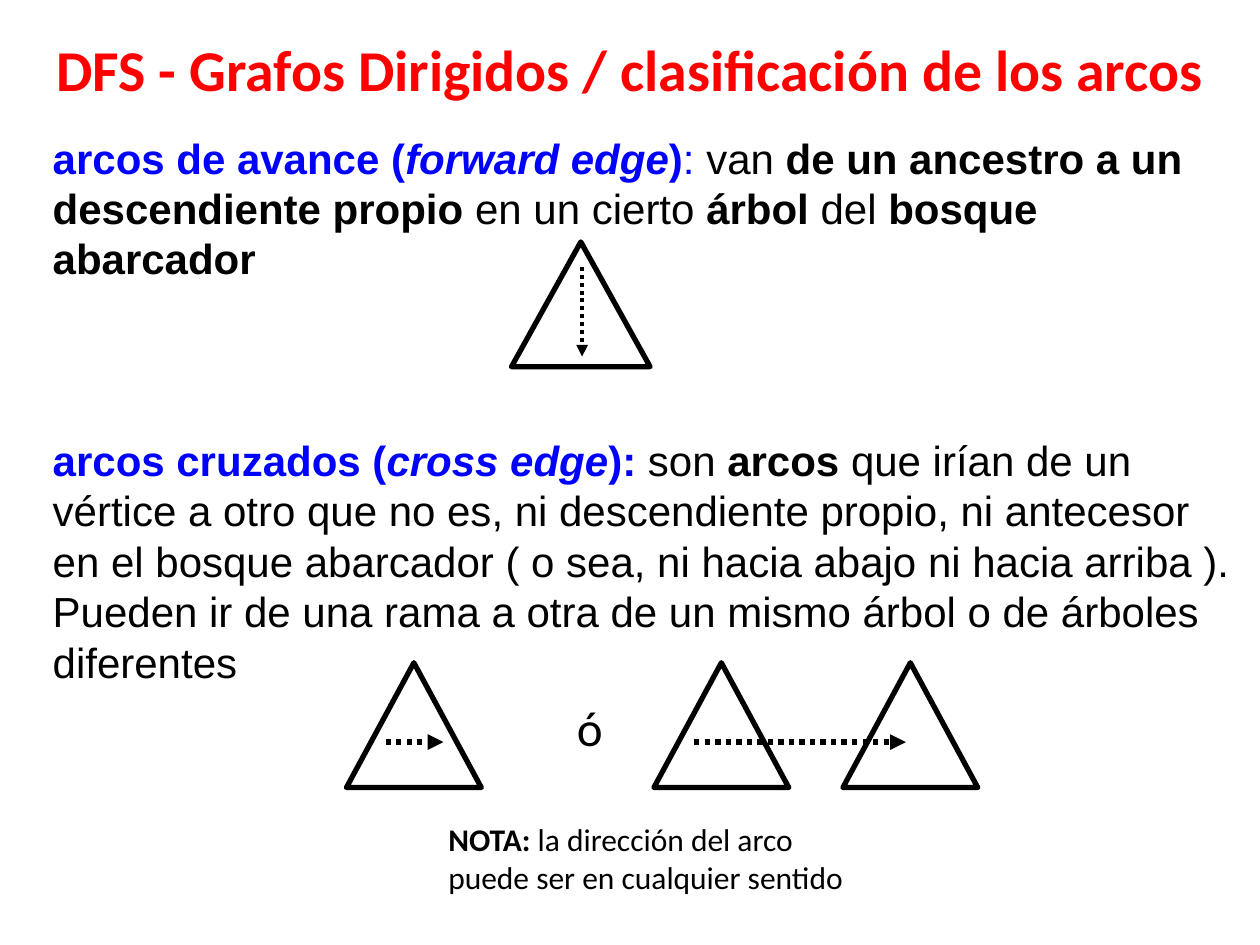
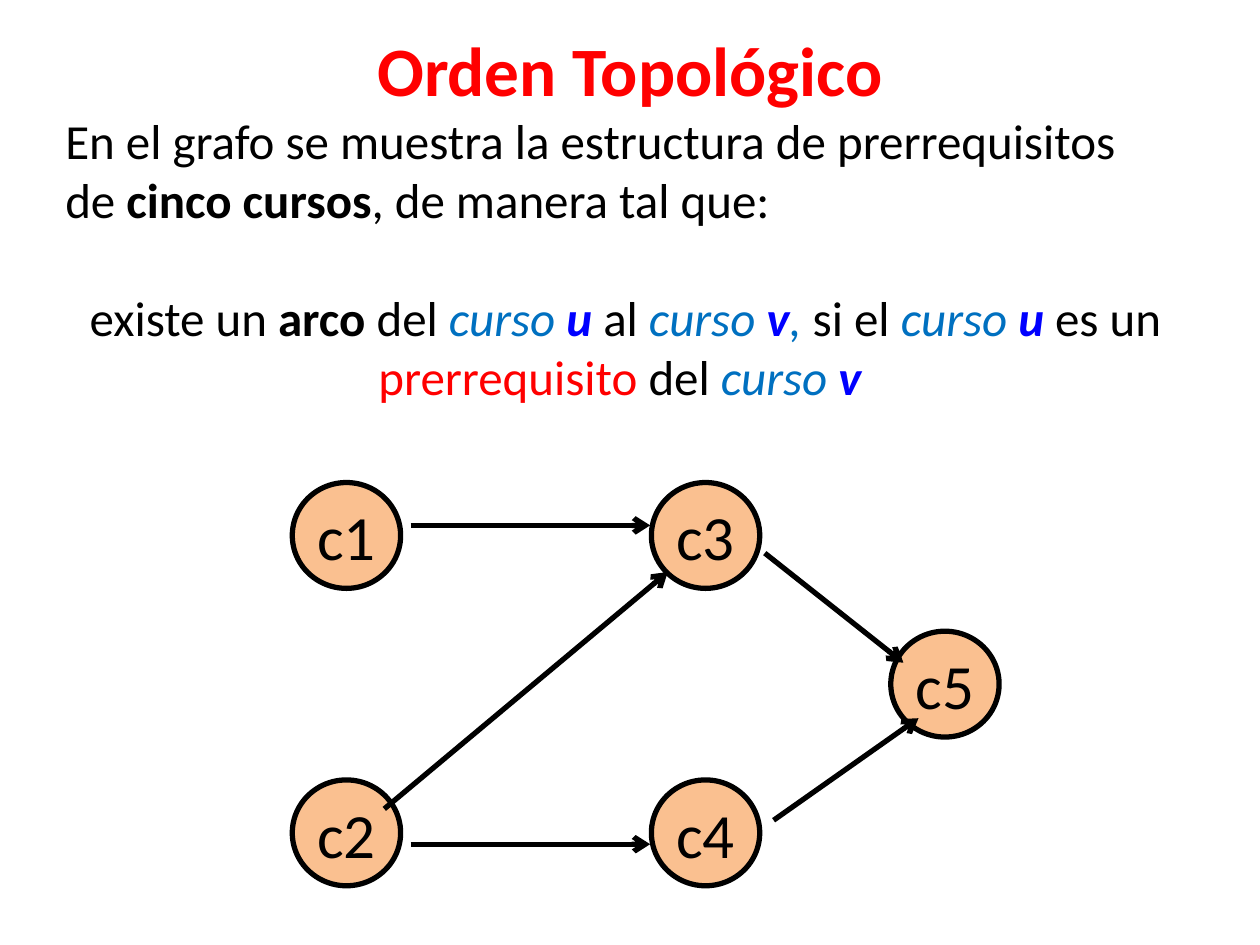
import pptx
import pptx.util
import pptx.dml.color
import pptx.enum.dml
import pptx.enum.shapes
import pptx.enum.text
import pptx.oxml
import pptx.oxml.ns
from dataclasses import dataclass

SCALE = 9144  # EMU in one px, 100 px to the inch
Shape = pptx.enum.shapes.MSO_SHAPE
Align = pptx.enum.text.PP_ALIGN
Anchor = pptx.enum.text.MSO_ANCHOR


@dataclass(frozen=True)
class Theme:
    black: str = "000000"
    red: str = "FF0000"
    blue: str = "0000FF"
    sky: str = "0070C0"
    peach: str = "FAC090"
    plain: str = "Calibri"
    sans: str = "Arial"
    note: int = 18
    body: int = 24
    large: int = 28
    node: int = 36
    thin: float = 2.25
    thick: float = 3


theme = Theme()


def px(*nums):
    return [pptx.util.Emu(num * SCALE) for num in nums]


def rgb(code):
    return pptx.dml.color.RGBColor.from_string(code)


class Deck:
    """Holds the theme and the current slide."""

    def __init__(self, theme):
        self.theme = theme
        self.file = pptx.Presentation()
        self.file.slide_width, self.file.slide_height = px(1000, 750)
        self.slide = None

    def page(self, title, size):
        self.slide = self.file.slides.add_slide(self.file.slide_layouts[5])
        box = self.slide.shapes.title
        box.left, box.top, box.width, box.height = px(25, 17, 950, 75)
        box.text_frame.auto_size = pptx.enum.text.MSO_AUTO_SIZE.NONE
        box.text_frame.vertical_anchor = Anchor.MIDDLE
        para = box.text_frame.paragraphs[0]
        para.alignment = Align.CENTER
        self.run(para, title, size, color=self.theme.red, bold=True)

    def run(self, para, text, size, font=None, color=None, bold=False, slant=False):
        run = para.add_run()
        run.text = text
        run.font.name = font or self.theme.plain
        run.font.size = pptx.util.Pt(size)
        run.font.bold, run.font.italic = bold, slant
        run.font.color.rgb = rgb(color or self.theme.black)

    def text(self, area, paras, size, font=None, gap=0, pitch=None, aligns=()):
        """Each run is (words, marks, colour); marks hold b for bold, i for italic."""
        frame = self.slide.shapes.add_textbox(*px(*area)).text_frame
        frame.word_wrap = True
        for num, runs in enumerate(paras):
            para = frame.add_paragraph() if num else frame.paragraphs[0]
            if num:
                para.space_before = pptx.util.Pt(gap)
            if pitch:
                para.line_spacing = pptx.util.Pt(pitch)
            if aligns:
                para.alignment = aligns[num]
            for words, marks, color in runs:
                self.run(para, words, size, font, color, "b" in marks, "i" in marks)

    def shape(self, kind, area, fill=None):
        shape = self.slide.shapes.add_shape(kind, *px(*area))
        shape.shadow.inherit = False
        if fill:
            shape.fill.solid()
            shape.fill.fore_color.rgb = rgb(fill)
        else:
            shape.fill.background()
        shape.line.color.rgb = rgb(self.theme.black)
        shape.line.width = pptx.util.Pt(self.theme.thick)
        return shape

    def tree(self, left, top, width):
        self.shape(Shape.ISOSCELES_TRIANGLE, (left, top, width, 99))

    def node(self, label, left, top):
        frame = self.shape(Shape.OVAL, (left, top, 86, 84), self.theme.peach).text_frame
        frame.word_wrap = False
        frame.vertical_anchor = Anchor.MIDDLE
        frame.paragraphs[0].alignment = Align.CENTER
        self.run(frame.paragraphs[0], label, self.theme.node)

    def arrow(self, start, end, head="arrow", width=None, dots=False):
        kind = pptx.enum.shapes.MSO_CONNECTOR.STRAIGHT
        link = self.slide.shapes.add_connector(kind, *px(*start, *end))
        link.line.color.rgb = rgb(self.theme.black)
        link.line.width = pptx.util.Pt(width or self.theme.thick)
        if dots:
            link.line.dash_style = pptx.enum.dml.MSO_LINE.ROUND_DOT
        tail = pptx.oxml.parse_xml(
            f'<a:tailEnd {pptx.oxml.ns.nsdecls("a")} type="{head}"/>')
        link.line._get_or_add_ln().append(tail)
        link._element.spPr.append(
            pptx.oxml.parse_xml(f'<a:effectLst {pptx.oxml.ns.nsdecls("a")}/>'))


def arcs(deck):
    deck.page("DFS - Grafos Dirigidos / clasificación de los arcos", 33)

    # Definitions
    blue = theme.blue
    ahead = [
        ("arcos de avance (", "b", blue), ("forward edge", "bi", blue),
        (")", "b", blue), (": ", "", blue), ("van ", "", None),
        ("de un ancestro a un descendiente propio ", "b", None),
        ("en un cierto ", "", None), ("árbol", "b", None),
        (" del ", "", None), ("bosque abarcador", "b", None)]
    cross = [
        ("arcos cruzados (", "b", blue), ("cross edge", "bi", blue),
        ("): ", "b", blue), ("son ", "", None), ("arcos", "b", None),
        (" que irían de un vértice a otro que no es, ni descendiente propio, "
         "ni antecesor en el bosque abarcador ( o sea, ni hacia abajo ni hacia "
         "arriba ). Pueden ir de una rama a otra de un mismo árbol o de árboles "
         "diferentes", "", None)]
    pitch = 1.2 * theme.body
    deck.text((32, 100, 965, 454), [ahead, cross], theme.body, theme.sans,
              gap=3 * pitch, pitch=pitch)

    # Forward edge inside one tree
    deck.arrow((462, 212), (462, 283), "triangle", theme.thin, dots=True)
    deck.tree(406, 192, 110)

    # Cross edges, in one tree or between two
    for left in (275, 519, 669):
        deck.tree(left, 526, 107)
    for start, end in ((306, 352), (551, 719)):
        deck.arrow((start, 589), (end, 589), "triangle", dots=True)
    deck.text((448, 549, 46, 57), [[("ó", "", None)]], theme.large)

    # Note
    deck.text((346, 646, 360, 71),
              [[("NOTA:", "b", None),
                (" la dirección del arco puede ser en cualquier sentido", "", None)]],
              theme.note)


def order(deck):
    deck.page("Orden Topológico", 39.6)

    # Graph of courses
    left, mid, right = 232, 517, 707
    top, low = 383, 619
    nodes = {"c1": (left, top), "c2": (left, low), "c3": (mid, top),
             "c4": (mid, low), "c5": (right, (top + low) // 2)}
    for label, spot in nodes.items():
        deck.node(label, *spot)
    for start, end in (((326, 670), (516, 670)), ((326, 417), (516, 417)),
                       ((614, 651), (729, 570)), ((607, 439), (717, 526)),
                       ((305, 642), (530, 454))):
        deck.arrow(start, end)

    # Explanation
    course = ("curso ", "i", theme.sky)
    from_u, to_v = ("u ", "bi", theme.blue), ("v", "bi", theme.blue)
    intro = [("En el grafo se muestra la estructura de prerrequisitos de ", "", None),
             ("cinco cursos", "b", None), (", de manera tal que:", "", None)]
    rule = [(" existe un ", "", None), ("arco", "b", None), (" del ", "", None),
            course, from_u, ("al ", "", None), course, to_v,
            (", ", "i", theme.sky), ("si el ", "", None), course, from_u,
            ("es un ", "", None), ("prerrequisito ", "", theme.red),
            ("del ", "", None), course, to_v]
    deck.text((42, 83, 900, 246), [intro, rule], theme.large, gap=34,
              aligns=(Align.LEFT, Align.CENTER))


def main():
    deck = Deck(theme)
    arcs(deck)
    order(deck)
    deck.file.save("out.pptx")


if __name__ == "__main__":
    main()
